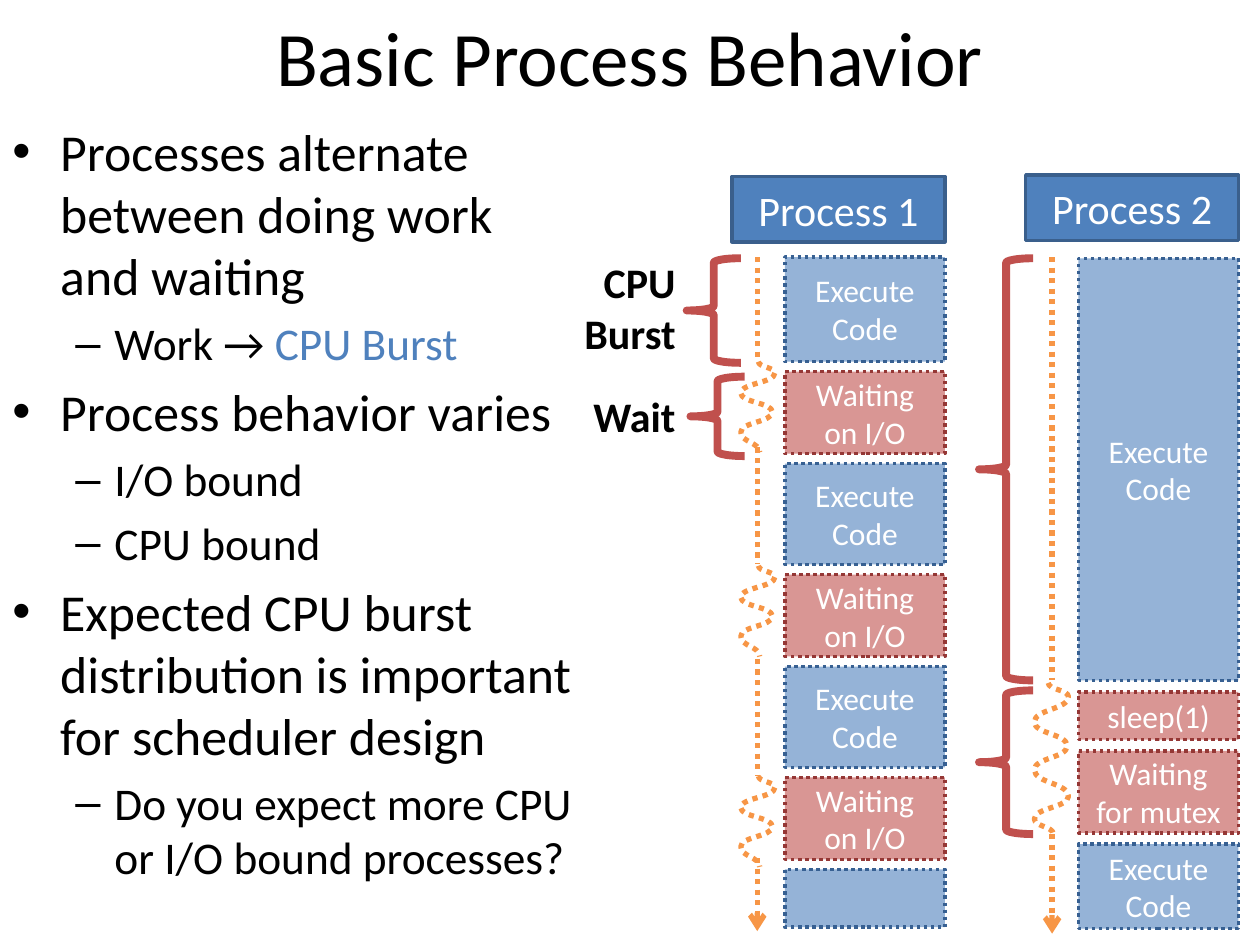
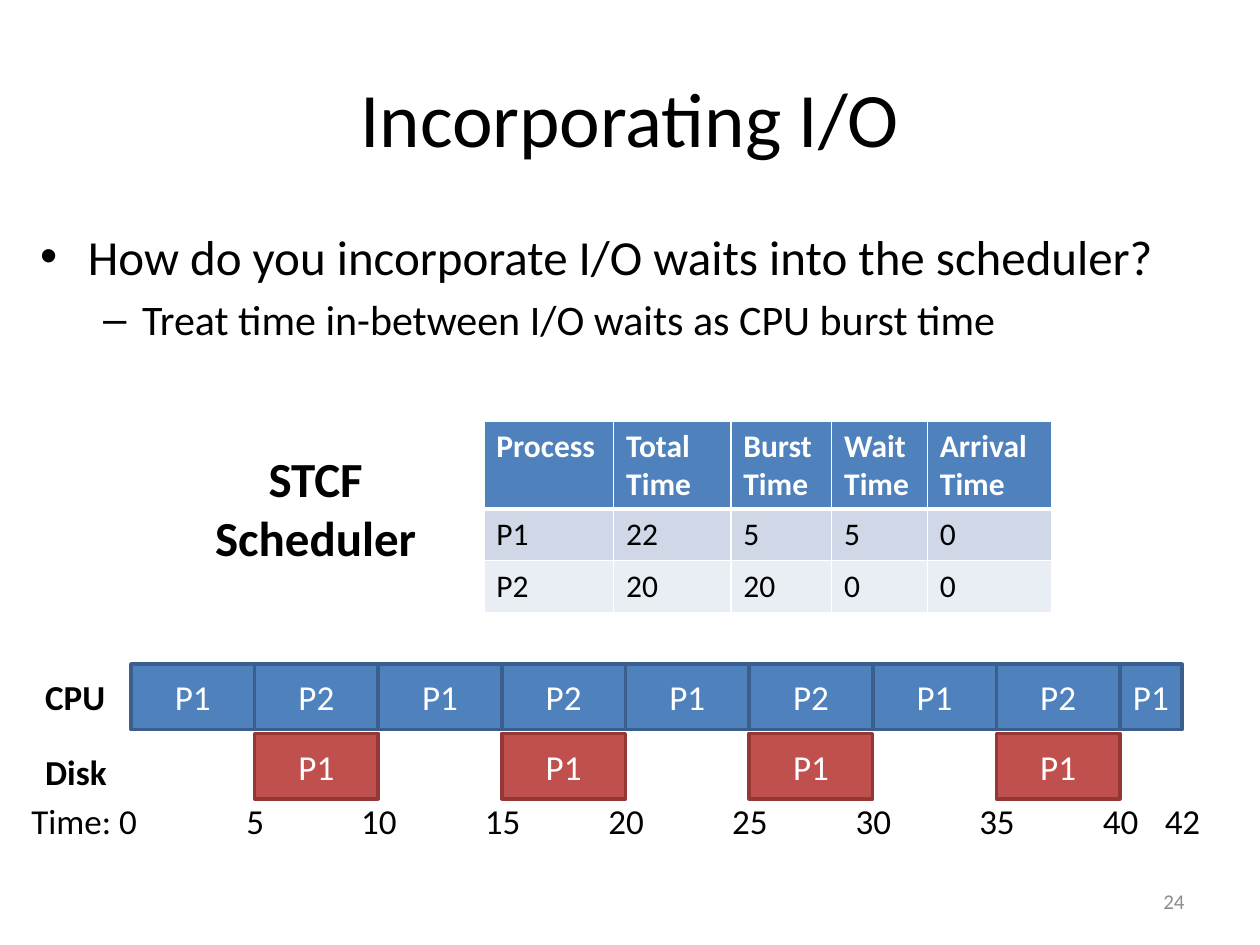
from itertools import accumulate
from lxml.etree import SubElement
from pptx import Presentation
from pptx.dml.color import RGBColor
from pptx.enum.dml import MSO_LINE
from pptx.enum.shapes import MSO_CONNECTOR as Connector, MSO_SHAPE as Shape
from pptx.enum.text import MSO_ANCHOR as Anchor, PP_ALIGN as Align
from pptx.oxml.ns import qn
from pptx.util import Inches, Pt


class Theme:
    font = "Calibri"
    black, white, grey = "000000", "FFFFFF", "8C8C8C"
    blue, blue_edge = "4F81BD", "3A5F8C"
    red, red_edge = "C0504D", "953735"
    orange = "F79646"
    row_fills = ("4F81BD", "D0D8E8", "E9EDF4")
    block = {"run": ("95B3D7", "376092"), "wait": ("D99694", "953735")}
    title, heading, label, mark, small, number = 44, 28, 24, 20, 18, 12
    edge, track_width, brace_width = 2, 3, 4.5


BEHAVIOR_POINTS = [
    (0, [("Processes alternate between doing work and waiting", Theme.black)]),
    (1, [("Work → ", Theme.black), ("CPU Burst", Theme.blue)]),
    (0, [("Process behavior varies", Theme.black)]),
    (1, [("I/O bound", Theme.black)]),
    (1, [("CPU bound", Theme.black)]),
    (0, [("Expected CPU burst distribution is important for scheduler design", Theme.black)]),
    (1, [("Do you expect more CPU or I/O bound processes?", Theme.black)]),
]
PROCESSES = [
    {
        "name": "Process 1", "left": 5.81, "top": 1.4, "first": 2.04, "gap": 0.08, "track": 6.01,
        "blocks": [
            ("run", "Execute Code", 0.83), ("wait", "Waiting on I/O", 0.65),
            ("run", "Execute Code", 0.8), ("wait", "Waiting on I/O", 0.65),
            ("run", "Execute Code", 0.8), ("wait", "Waiting on I/O", 0.65),
            ("run", "", 0.46),
        ],
        "lines": [(2.04, 2.87), (3.55, 4.48), (5.23, 6.16), (6.81, 7.39)],
        "waves": [2.87, 4.49, 6.16],
        "bends": [(0.01, 0), (0.14, 0.09), (-0.13, 0.25), (0.12, 0.4), (-0.13, 0.56), (0.02, 0.72)],
        "braces": [(5.45, 2.05, 0.83), (5.48, 2.99, 0.63)],
    },
    {
        "name": "Process 2", "left": 8.14, "top": 1.39, "first": 2.05, "gap": 0.09, "track": 8.35,
        "blocks": [
            ("run", "Execute Code", 3.35), ("wait", "sleep(1)", 0.38),
            ("wait", "Waiting for mutex", 0.65), ("run", "Execute Code", 0.67),
        ],
        "lines": [(2.04, 5.4), (6.62, 7.41)],
        "waves": [5.42],
        "bends": [(-0.03, 0), (0.13, 0.11), (-0.14, 0.31), (0.12, 0.5), (-0.14, 0.69),
                  (0.13, 0.9), (-0.14, 1.08), (0.01, 1.2)],
        "braces": [(7.77, 2.05, 3.35), (7.77, 5.48, 1.14)],
    },
]
BRACE_LABELS = [("CPU Burst", (4.27, 1.99, 1.19, 0.94)), ("Wait", (4.49, 3.05, 0.97, 0.5))]

SCHEDULER_POINTS = [
    (0, [("How do you incorporate I/O waits into the scheduler?", Theme.black)]),
    (1, [("Treat time in-between I/O waits as CPU burst time", Theme.black)]),
]
JOBS = [
    ("Process", "Total Time", "Burst Time", "Wait Time", "Arrival Time"),
    ("P1", "22", "5", "5", "0"),
    ("P2", "20", "20", "0", "0"),
]
JOB_COLUMNS = (1.03, 0.93, 0.8, 0.76, 0.99)
JOB_ROWS = (0.69, 0.41, 0.41)
CPU_SLOTS = ["P1", "P2", "P1", "P2", "P1", "P2", "P1", "P2", "P1"]
DISK_SLOTS = {1: "P1", 3: "P1", 5: "P1", 7: "P1"}
TICKS = ["5", "10", "15", "20", "25", "30", "35", "40", "42"]
ROW_LABELS = [("CPU", 5.31), ("Disk", 5.91)]
CHART_LEFT, CHART_RIGHT, BAR_HEIGHT = 1.04, 9.38, 0.52
SLOT = (CHART_RIGHT - CHART_LEFT) / (len(CPU_SLOTS) - 0.5)
CPU_TOP, DISK_TOP, TICK_TOP = 5.27, 5.82, 6.3


def rgb(code):
    return RGBColor.from_string(code)


def place(area):
    return [Inches(value) for value in area]


def style_text(frame, size, color, align, bold=False):
    for para in frame.paragraphs:
        para.alignment = align
        for span in para.runs:
            span.font.name, span.font.size, span.font.bold = Theme.font, Pt(size), bold
            span.font.color.rgb = rgb(color)


def add_page(deck, title, area):
    page = deck.slides.add_slide(deck.slide_layouts[5])
    box = page.shapes.title
    box.left, box.top, box.width, box.height = place(area)
    box.text_frame.text = title
    box.text_frame.vertical_anchor = Anchor.MIDDLE
    style_text(box.text_frame, Theme.title, Theme.black, Align.CENTER)
    return page


def add_label(page, text, area, size, align=Align.LEFT, color=Theme.black,
              bold=False, wrap=False, anchor=Anchor.TOP):
    frame = page.shapes.add_textbox(*place(area)).text_frame
    frame.word_wrap, frame.vertical_anchor = wrap, anchor
    frame.text = text
    style_text(frame, size, color, align, bold)


def add_points(page, points, area, sizes):
    frame = page.shapes.add_textbox(*place(area)).text_frame
    frame.word_wrap, frame.margin_right = True, Inches(0.08)
    for index, (level, spans) in enumerate(points):
        para = frame.add_paragraph() if index else frame.paragraphs[0]
        para.text = spans[0][0]
        for text, _ in spans[1:]:
            para.add_run().text = text
        style, size = para._p.get_or_add_pPr(), sizes[level]
        margin, hang, mark = [(0.38, 0.38, "•"), (0.81, 0.31, "–")][level]
        style.set("marL", str(Inches(margin)))
        style.set("indent", str(-Inches(hang)))
        SubElement(style, qn("a:buFont")).set("typeface", "Arial")
        SubElement(style, qn("a:buChar")).set("char", mark)
        para.level = level
        para.space_before = Pt(0.2 * size if index else 0)
        for span, (_, color) in zip(para.runs, spans):
            span.font.name, span.font.size = Theme.font, Pt(size)
            span.font.color.rgb = rgb(color)


def set_line(line, color, width, dotted=False):
    line.color.rgb, line.width = rgb(color), Pt(width)
    if dotted:
        line.dash_style = MSO_LINE.ROUND_DOT


def add_box(page, text, area, fill, edge, size, dotted=False):
    box = page.shapes.add_shape(Shape.RECTANGLE, *place(area))
    box.shadow.inherit = False
    box.fill.solid()
    box.fill.fore_color.rgb = rgb(fill)
    set_line(box.line, edge, Theme.edge, dotted)
    box.text_frame.word_wrap = True
    box.text_frame.vertical_anchor = Anchor.MIDDLE
    if text:
        box.text_frame.text = text
        style_text(box.text_frame, size, Theme.white, Align.CENTER)


def add_track_line(page, x, top, bottom, arrow):
    line = page.shapes.add_connector(Connector.STRAIGHT, *place((x, top, x, bottom)))
    set_line(line.line, Theme.orange, Theme.track_width, True)
    SubElement(line._element.spPr, qn("a:effectLst"))
    if arrow:
        SubElement(line.line._get_or_add_ln(), qn("a:tailEnd")).set("type", "arrow")


def curve_segments(wave):
    outline = wave._element.spPr
    x0, y0 = [int(outline.find(".//" + qn("a:moveTo"))[0].get(axis)) for axis in "xy"]
    for segment in list(outline.iter(qn("a:lnTo"))):
        x1, y1 = [int(segment[0].get(axis)) for axis in "xy"]
        middle = (y0 + y1) // 2
        curve = segment.makeelement(qn("a:cubicBezTo"))
        for x, y in ((x0, middle), (x1, middle), (x1, y1)):
            SubElement(curve, qn("a:pt"), x=str(x), y=str(y))
        segment.getparent().replace(segment, curve)
        x0, y0 = x1, y1


def add_wave(page, x, top, bends):
    points = [place((x + across, top + down)) for across, down in bends]
    builder = page.shapes.build_freeform(*points[0])
    builder.add_line_segments(points[1:], close=False)
    wave = builder.convert_to_shape()
    curve_segments(wave)
    wave.shadow.inherit = False
    wave.fill.background()
    set_line(wave.line, Theme.orange, Theme.track_width, True)


def add_brace(page, left, top, height):
    brace = page.shapes.add_shape(Shape.LEFT_BRACE, *place((left, top, 0.43, height)))
    brace.shadow.inherit = False
    brace.fill.background()
    set_line(brace.line, Theme.red, Theme.brace_width)


def add_process(page, process):
    left, track = process["left"], process["track"]
    add_box(page, process["name"], (left, process["top"], 1.69, 0.52),
            Theme.blue, Theme.blue_edge, Theme.label)
    top = process["first"]
    for kind, text, height in process["blocks"]:
        add_box(page, text, (left + 0.42, top, 1.27, height),
                *Theme.block[kind], Theme.small, dotted=True)
        top += height + process["gap"]
    for start, end in process["lines"]:
        add_track_line(page, track, start, end, arrow=(start, end) == process["lines"][-1])
    for start in process["waves"]:
        add_wave(page, track, start, process["bends"])
    for brace in process["braces"]:
        add_brace(page, *brace)


def set_borders(cell, bottom, top):
    style = cell._tc.get_or_add_tcPr()
    for index, (side, width) in enumerate((("L", 1), ("R", 1), ("T", top), ("B", bottom))):
        edge = style.makeelement(qn(f"a:ln{side}"), {"w": str(Pt(width))})
        fill = SubElement(edge, qn("a:solidFill"))
        SubElement(fill, qn("a:srgbClr")).set("val", Theme.white)
        style.insert(index, edge)


def add_job_table(page):
    area = (3.84, 3.34, sum(JOB_COLUMNS), sum(JOB_ROWS))
    table = page.shapes.add_table(len(JOBS), len(JOB_COLUMNS), *place(area)).table
    for column, width in zip(table.columns, JOB_COLUMNS):
        column.width = Inches(width)
    for r, (row, height) in enumerate(zip(JOBS, JOB_ROWS)):
        table.rows[r].height = Inches(height)
        for c, text in enumerate(row):
            cell = table.cell(r, c)
            cell.text = text
            cell.fill.solid()
            cell.fill.fore_color.rgb = rgb(Theme.row_fills[r])
            style_text(cell.text_frame, Theme.small, Theme.black if r else Theme.white,
                       Align.LEFT, bold=r == 0)
            set_borders(cell, bottom=1 if r else 3, top=3 if r == 1 else 1)


def add_schedule(page):
    widths = [SLOT] * (len(CPU_SLOTS) - 1) + [SLOT / 2]
    edges = list(accumulate(widths, initial=CHART_LEFT))
    for index, (name, width) in enumerate(zip(CPU_SLOTS, widths)):
        add_box(page, name, (edges[index], CPU_TOP, width, BAR_HEIGHT),
                Theme.blue, Theme.blue_edge, Theme.mark)
    for index, name in DISK_SLOTS.items():
        add_box(page, name, (edges[index], DISK_TOP, SLOT, BAR_HEIGHT),
                Theme.red, Theme.red_edge, Theme.mark)
    for text, top in ROW_LABELS:
        add_label(page, text, (0.26, top, 0.69, 0.44), Theme.mark, bold=True)
    add_label(page, "Time: 0", (0.15, TICK_TOP, 1.05, 0.44), Theme.mark)
    for text, x in zip(TICKS, edges[1:]):
        add_label(page, text, (x - 0.24, TICK_TOP, 0.49, 0.44), Theme.mark, Align.CENTER)


def build_behavior(deck):
    page = add_page(deck, "Basic Process Behavior", (0.5, -0.01, 9, 0.9))
    add_points(page, BEHAVIOR_POINTS, (0, 0.9, 4.66, 6.25), (29.6, 25.9))
    for process in PROCESSES:
        add_process(page, process)
    for text, area in BRACE_LABELS:
        add_label(page, text, area, Theme.label, Align.RIGHT, bold=True, wrap=True)


def build_scheduler(deck):
    page = add_page(deck, "Incorporating I/O", (0.5, 0.3, 9, 1.25))
    add_points(page, SCHEDULER_POINTS, (0.22, 1.75, 9.63, 1.33), (Theme.heading, Theme.label))
    add_label(page, "STCF Scheduler", (1.57, 3.51, 1.87, 1.04), Theme.heading,
              Align.CENTER, bold=True, wrap=True)
    add_job_table(page)
    add_schedule(page)
    add_label(page, "24", (7.17, 6.95, 2.33, 0.4), Theme.number, Align.RIGHT,
              Theme.grey, wrap=True, anchor=Anchor.MIDDLE)


def main():
    deck = Presentation()
    deck.slide_width, deck.slide_height = Inches(10), Inches(7.5)
    build_behavior(deck)
    build_scheduler(deck)
    deck.save("out.pptx")


if __name__ == "__main__":
    main()
